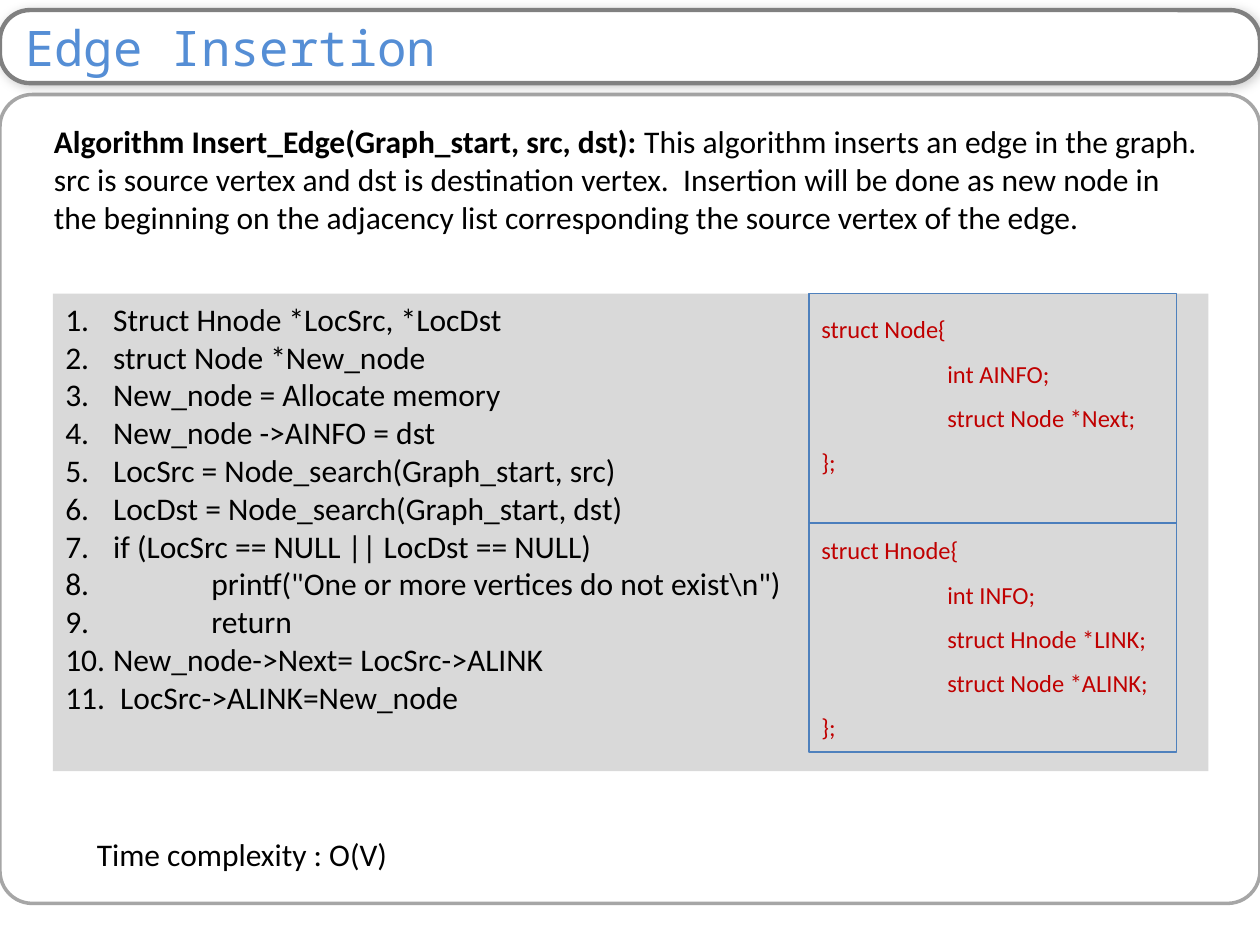
from dataclasses import dataclass

import pptx
import pptx.dml.color
import pptx.enum.shapes
import pptx.enum.text
import pptx.oxml
import pptx.oxml.ns
import pptx.util
from pptx.util import Inches

SHAPES = pptx.enum.shapes.MSO_SHAPE
NAMESPACE = pptx.oxml.ns.nsdecls("a")


@dataclass(frozen=True)
class Theme:
    body_font: str = "Calibri"
    title_font: str = "Noto Sans Mono"
    title_size: int = 28
    body_size: int = 18
    struct_size: int = 14
    title: str = "558ED5"
    text: str = "000000"
    struct_text: str = "C00000"
    struct_line: str = "4F81BD"
    divider: str = "4B7EBC"
    code_fill: str = "D9D9D9"
    title_fill: str = "FFFFFF"
    title_line: str = "808080"
    frame_line: str = "A6A6A6"


@dataclass(frozen=True)
class Box:
    left: float
    top: float
    width: float
    height: float

    def lengths(self) -> tuple:
        return tuple(Inches(value) for value in (self.left, self.top, self.width, self.height))


@dataclass(frozen=True)
class Line:
    text: str
    indent: float = 0
    space_before: float = 0


THEME = Theme()
STEP_INDENT, NESTED_INDENT, FIELD_INDENT = 0.38, 1.16, 1.0

STEPS = [
    Line("Struct Hnode *LocSrc, *LocDst", STEP_INDENT),
    Line("struct Node *New_node", STEP_INDENT),
    Line("New_node = Allocate memory", STEP_INDENT),
    Line("New_node ->AINFO = dst", STEP_INDENT),
    Line("LocSrc = Node_search(Graph_start, src)", STEP_INDENT),
    Line("LocDst = Node_search(Graph_start, dst)", STEP_INDENT),
    Line("if (LocSrc == NULL || LocDst == NULL)", STEP_INDENT),
    Line('printf("One or more vertices do not exist\\n")', NESTED_INDENT),
    Line("return", NESTED_INDENT),
    Line("New_node->Next= LocSrc->ALINK", STEP_INDENT),
    Line(" LocSrc->ALINK=New_node", STEP_INDENT),
]
STRUCTS = [
    Line("struct Node{"),
    Line("int AINFO;", FIELD_INDENT),
    Line("struct Node *Next;", FIELD_INDENT),
    Line("};"),
    Line("struct Hnode{", space_before=25.5),
    Line("int INFO;", FIELD_INDENT),
    Line("struct Hnode *LINK;", FIELD_INDENT),
    Line("struct Node *ALINK;", FIELD_INDENT),
    Line("};"),
]


def rgb(color: str) -> pptx.dml.color.RGBColor:
    return pptx.dml.color.RGBColor.from_string(color)


def add_text(paragraph, text: str, *, size: float = THEME.body_size, color: str = THEME.text,
             font: str = THEME.body_font, bold: bool = False) -> None:
    run = paragraph.add_run()
    run.text = text
    run.font.name = font
    run.font.size = pptx.util.Pt(size)
    run.font.bold = bold
    run.font.color.rgb = rgb(color)


def add_panel(slide, kind, box: Box, *, fill: str = "", line: str = "", width: float = 1):
    shape = slide.shapes.add_shape(kind, *box.lengths())
    shape.shadow.inherit = False
    if fill:
        shape.fill.solid()
        shape.fill.fore_color.rgb = rgb(fill)
    else:
        shape.fill.background()
    if line:
        shape.line.color.rgb = rgb(line)
        shape.line.width = pptx.util.Pt(width)
    else:
        shape.line.fill.background()
    return shape


def add_text_box(slide, box: Box):
    frame = slide.shapes.add_textbox(*box.lengths()).text_frame
    frame.word_wrap = True
    return frame.paragraphs[0]


def write_lines(shape, lines: list[Line], *, numbered: bool = False,
                line_spacing: float = 1.0, **text_format) -> None:
    frame = shape.text_frame
    frame.word_wrap = True
    frame.vertical_anchor = pptx.enum.text.MSO_ANCHOR.TOP
    for index, line in enumerate(lines):
        paragraph = frame.add_paragraph() if index else frame.paragraphs[0]
        paragraph.alignment = pptx.enum.text.PP_ALIGN.LEFT
        paragraph.line_spacing = line_spacing
        paragraph.space_before = pptx.util.Pt(line.space_before)
        properties = paragraph._p.get_or_add_pPr()
        properties.set("marL", str(Inches(line.indent)))
        if numbered:
            properties.set("indent", str(-Inches(line.indent)))
            properties.append(pptx.oxml.parse_xml(
                f'<a:buAutoNum {NAMESPACE} type="arabicPeriod"/>'))
        add_text(paragraph, line.text, **text_format)


def add_soft_shadow(shape) -> None:
    effects = shape._element.spPr.find(pptx.oxml.ns.qn("a:effectLst"))
    effects.append(pptx.oxml.parse_xml(
        f'<a:outerShdw {NAMESPACE} blurRad="{pptx.util.Pt(6)}" dist="{pptx.util.Pt(1)}" '
        'dir="2700000" rotWithShape="0"><a:srgbClr val="000000">'
        '<a:alpha val="20000"/></a:srgbClr></a:outerShdw>'))


def add_title(slide, text: str, box: Box) -> None:
    bar = add_panel(slide, SHAPES.ROUNDED_RECTANGLE, box, fill=THEME.title_fill,
                    line=THEME.title_line, width=2.5)
    bar.adjustments[0] = 0.41
    add_soft_shadow(bar)
    title = slide.shapes.title
    title.left, title.top, title.width, title.height = box.lengths()
    bar._element.addnext(title._element)  # keep the title above its bar
    frame = title.text_frame
    frame.margin_left, frame.margin_right = Inches(0.2), Inches(0.1)
    frame.margin_top = frame.margin_bottom = 0
    frame.vertical_anchor = pptx.enum.text.MSO_ANCHOR.MIDDLE
    frame.paragraphs[0].alignment = pptx.enum.text.PP_ALIGN.LEFT
    add_text(frame.paragraphs[0], text, size=THEME.title_size, color=THEME.title,
             font=THEME.title_font)


def add_divider(slide, left: float, right: float, top: float) -> None:
    connector = slide.shapes.add_connector(
        pptx.enum.shapes.MSO_CONNECTOR.STRAIGHT,
        Inches(left), Inches(top), Inches(right), Inches(top))
    connector.line.color.rgb = rgb(THEME.divider)
    connector.line.width = pptx.util.Pt(0.75)
    connector._element.spPr.append(pptx.oxml.parse_xml(f"<a:effectLst {NAMESPACE}/>"))


def main() -> None:
    presentation = pptx.Presentation()
    presentation.slide_width, presentation.slide_height = Inches(10), Inches(7.5)
    slide = presentation.slides.add_slide(presentation.slide_layouts[5])

    # Frame and title bar
    frame = add_panel(slide, SHAPES.ROUNDED_RECTANGLE, Box(0, 0.75, 10, 6.42),
                      line=THEME.frame_line, width=2)
    frame.adjustments[0] = 0.04
    add_title(slide, "Edge Insertion", Box(0, 0.08, 10, 0.58))

    # Algorithm description
    description = add_text_box(slide, Box(0.33, 0.92, 9.33, 1.62))
    add_text(description, "Algorithm Insert_Edge(Graph_start, src, dst): ", bold=True)
    add_text(description, "This algorithm inserts an edge in the graph. src is source vertex "
             "and dst is destination vertex.  Insertion will be done as new node in the "
             "beginning on the adjacency list corresponding the source vertex of the edge.")

    # Numbered steps
    steps = add_panel(slide, SHAPES.RECTANGLE, Box(0.42, 2.33, 9.17, 3.79),
                      fill=THEME.code_fill)
    write_lines(steps, STEPS, numbered=True)

    # Structure definitions, split by a divider
    box = Box(6.42, 2.33, 2.92, 3.64)
    structs = add_panel(slide, SHAPES.RECTANGLE, box, line=THEME.struct_line, width=0.75)
    write_lines(structs, STRUCTS, line_spacing=1.5, size=THEME.struct_size,
                color=THEME.struct_text)
    add_divider(slide, box.left, box.left + box.width, box.top + box.height / 2)

    # Complexity
    add_text(add_text_box(slide, Box(0.67, 6.58, 8.67, 0.4)), "Time complexity : O(V)")

    presentation.save("out.pptx")


if __name__ == "__main__":
    main()
